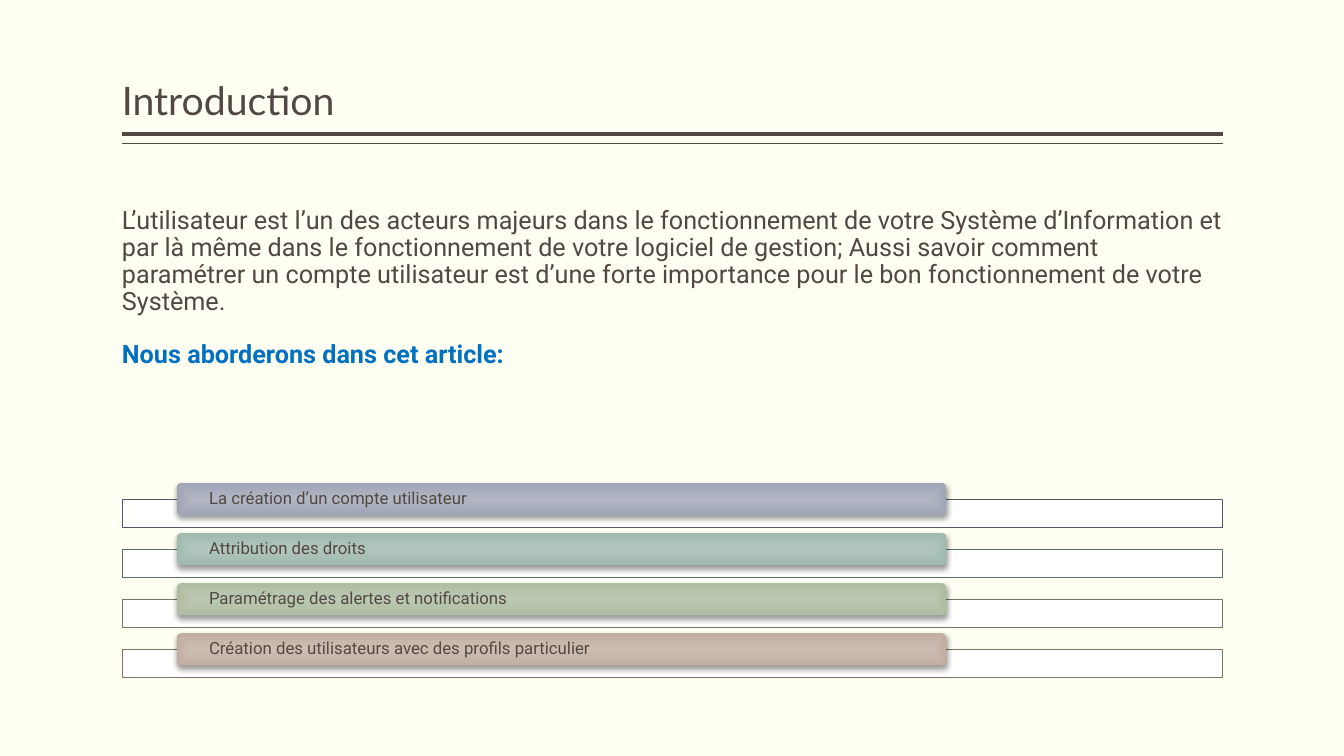
"""Build the introduction slide with its four-topic agenda."""
from dataclasses import dataclass

from lxml.etree import SubElement as add_element
from pptx import Presentation
from pptx.dml.color import RGBColor as Color
from pptx.enum.shapes import MSO_CONNECTOR as Connector, MSO_SHAPE as Shape
from pptx.enum.text import MSO_ANCHOR as Anchor, PP_ALIGN as Align
from pptx.oxml.ns import qn
from pptx.slide import Slide
from pptx.text.text import TextFrame
from pptx.util import Pt


@dataclass(frozen=True)
class Theme:
    background: str = "FFFFF3"
    ink: str = "514843"
    accent: str = "0070C0"
    strip: str = "FFFFFF"
    shadow: str = "000000"
    heading_font: str = "Lato"
    body_font: str = "Roboto"
    title_size: float = 28
    body_size: float = 18
    topic_size: float = 12


@dataclass(frozen=True)
class Rule:
    top: float
    weight: float


@dataclass(frozen=True)
class Topic:
    label: str
    outline: str
    center: str
    edge: str


THEME = Theme()
LEFT, WIDTH = 87.12, 786.24
BAR_LEFT, BAR_WIDTH, BAR_HEIGHT = 126.1, 550.1, 23.2
FIRST_BAR_TOP, TOPIC_STEP = 344.9, 35.76
STRIP_OFFSET, STRIP_HEIGHT = 11.6, 20.16

RULES = [Rule(95.6, 3), Rule(102.6, 1)]
INTRODUCTION = (
    "L’utilisateur est l’un des acteurs majeurs dans le fonctionnement de votre "
    "Système d’Information et par là même dans le fonctionnement de votre logiciel "
    "de gestion; Aussi savoir comment paramétrer un compte utilisateur est d’une "
    "forte importance pour le bon fonctionnement de votre Système."
)
TOPICS = [
    Topic("La création d’un compte utilisateur", "525A6A", "B1B6C2", "9EA5B5"),
    Topic("Attribution des droits", "597268", "B1C5BC", "9FB9AD"),
    Topic("Paramétrage des alertes et notifications", "6C7A5F", "BCC8B2", "ADBDA0"),
    Topic("Création des utilisateurs avec des profils particulier",
          "827266", "CCBDB3", "C2AEA1"),
]


def prepare_frame(frame: TextFrame, anchor: Anchor, side: float, edge: float) -> None:
    """Set wrapping, anchoring and insets of a text frame."""
    frame.word_wrap = True
    frame.vertical_anchor = anchor
    frame.margin_left = frame.margin_right = Pt(side)
    frame.margin_top = frame.margin_bottom = Pt(edge)


def write_paragraph(para, text: str, size: float, font: str = THEME.body_font,
                    color: str = THEME.ink, bold: bool = False) -> None:
    """Fill a paragraph with text in one style."""
    para.text = text
    para.alignment = Align.LEFT
    para.line_spacing = 0.9
    para.font.size = Pt(size)
    para.font.name = font
    para.font.bold = bold
    para.font.color.rgb = Color.from_string(color)


def add_text_frame(page: Slide, top: float, height: float, anchor: Anchor) -> TextFrame:
    """Add a full-width text box and return its frame."""
    box = page.shapes.add_textbox(Pt(LEFT), Pt(top), Pt(WIDTH), Pt(height))
    prepare_frame(box.text_frame, anchor, 0, 3.6)
    return box.text_frame


def draw_rule(page: Slide, rule: Rule) -> None:
    """Draw a horizontal line under the title."""
    line = page.shapes.add_connector(
        Connector.STRAIGHT, Pt(LEFT), Pt(rule.top), Pt(LEFT + WIDTH), Pt(rule.top))
    line.line.color.rgb = Color.from_string(THEME.ink)
    line.line.width = Pt(rule.weight)
    add_element(line._element.spPr, qn("a:effectLst"))


def draw_strip(page: Slide, topic: Topic, top: float) -> None:
    """Draw the translucent outlined strip behind a topic bar."""
    strip = page.shapes.add_shape(
        Shape.RECTANGLE, Pt(LEFT), Pt(top), Pt(WIDTH), Pt(STRIP_HEIGHT))
    strip.shadow.inherit = False
    strip.fill.solid()
    strip.fill.fore_color.rgb = Color.from_string(THEME.strip)
    color = strip._element.spPr.find(qn("a:solidFill")).find(qn("a:srgbClr"))
    add_element(color, qn("a:alpha"), val="90000")
    strip.line.color.rgb = Color.from_string(topic.outline)
    strip.line.width = Pt(0.5)


def draw_bar(page: Slide, topic: Topic, top: float) -> None:
    """Draw the shaded, labelled bar of a topic."""
    bar = page.shapes.add_shape(
        Shape.ROUNDED_RECTANGLE, Pt(BAR_LEFT), Pt(top), Pt(BAR_WIDTH), Pt(BAR_HEIGHT))
    bar.line.fill.background()
    bar.fill.gradient()
    for stop, shade in zip(bar.fill.gradient_stops, (topic.center, topic.edge)):
        stop.color.rgb = Color.from_string(shade)
    properties = bar._element.spPr
    gradient = properties.find(qn("a:gradFill"))
    gradient.remove(gradient.find(qn("a:lin")))
    focus = add_element(gradient, qn("a:path"), path="rect")
    add_element(focus, qn("a:fillToRect"), l="50000", t="50000", r="50000", b="50000")

    bar.shadow.inherit = False
    shadow = add_element(
        properties.find(qn("a:effectLst")), qn("a:outerShdw"),
        blurRad=str(Pt(3.5)), dist=str(Pt(2)), dir="5400000", rotWithShape="0")
    color = add_element(shadow, qn("a:srgbClr"), val=THEME.shadow)
    add_element(color, qn("a:alpha"), val="38000")

    prepare_frame(bar.text_frame, Anchor.MIDDLE, 22.1, 0)
    write_paragraph(bar.text_frame.paragraphs[0], topic.label, THEME.topic_size)


def main() -> None:
    """Compose and save the deck."""
    deck = Presentation()
    deck.slide_width, deck.slide_height = Pt(960), Pt(540)
    page = deck.slides.add_slide(deck.slide_layouts[6])
    page.background.fill.solid()
    page.background.fill.fore_color.rgb = Color.from_string(THEME.background)

    for rule in RULES:
        draw_rule(page, rule)

    title = add_text_frame(page, 5.8, 86.4, Anchor.BOTTOM)
    write_paragraph(title.paragraphs[0], "Introduction",
                    THEME.title_size, THEME.heading_font)

    body = add_text_frame(page, 144.7, 160.6, Anchor.TOP)
    write_paragraph(body.paragraphs[0], INTRODUCTION, THEME.body_size)
    lead = body.add_paragraph()
    write_paragraph(lead, "Nous aborderons dans cet article:",
                    THEME.body_size, color=THEME.accent, bold=True)
    lead.space_before = Pt(18)

    for index, topic in enumerate(TOPICS):
        top = FIRST_BAR_TOP + index * TOPIC_STEP
        draw_strip(page, topic, top + STRIP_OFFSET)
        draw_bar(page, topic, top)

    deck.save("out.pptx")


if __name__ == "__main__":
    main()
